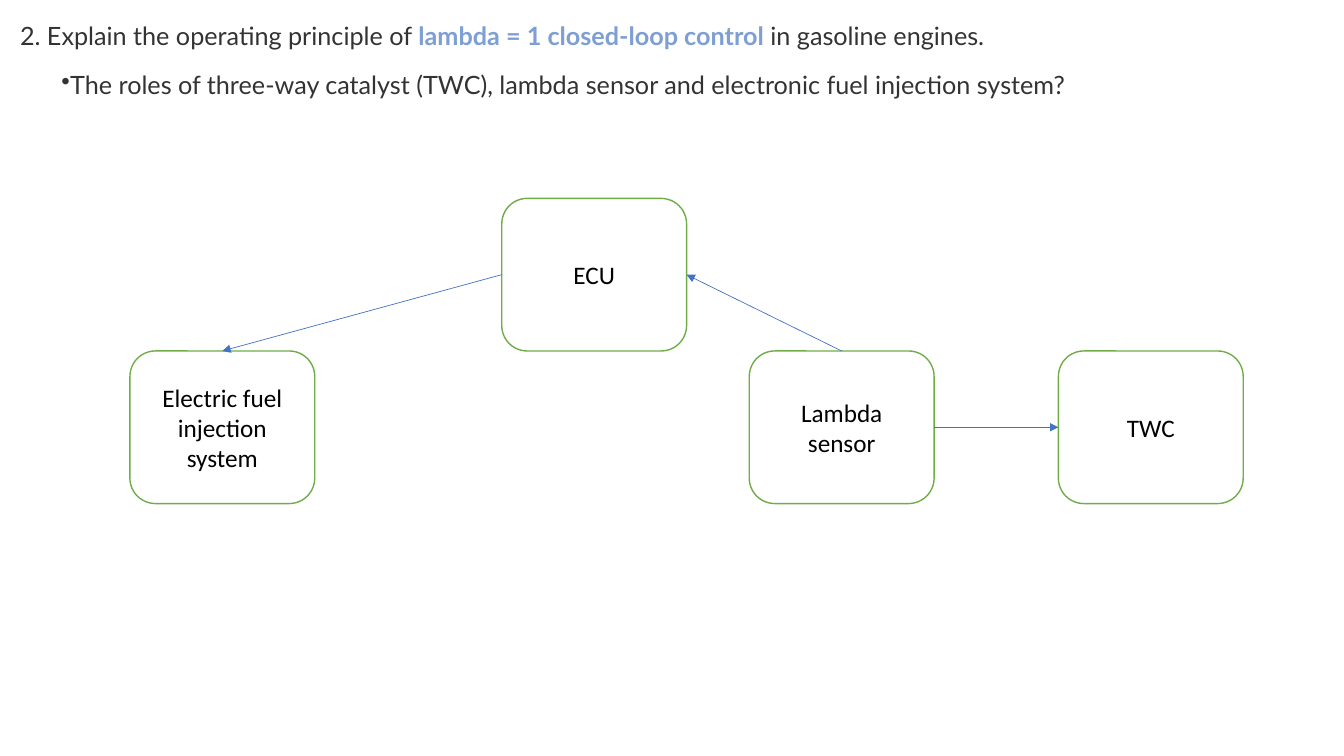
from dataclasses import dataclass

from lxml.etree import SubElement
from pptx import Presentation
from pptx.dml.color import RGBColor
from pptx.enum.shapes import MSO_CONNECTOR, MSO_SHAPE
from pptx.enum.text import MSO_ANCHOR, PP_ALIGN
from pptx.oxml.ns import qn
from pptx.util import Pt

TOP, LEFT, RIGHT = 0, 1, 3  # connection sites of a rounded rectangle


@dataclass(frozen=True)
class Theme:
    question_font: str = "Lato"
    block_font: str = "Calibri"
    text_size: float = 18
    question: str = "333333"
    highlight: str = "7D9FD3"
    block_text: str = "000000"
    block_fill: str = "FFFFFF"
    block_line: str = "70AD47"
    arrow: str = "4472C4"


def rgb(value):
    return RGBColor.from_string(value)


def add_text(paragraph, text, *, font, size, color, bold=False):
    run = paragraph.add_run()
    run.text = text
    run.font.name = font
    run.font.size = Pt(size)
    run.font.bold = bold
    run.font.color.rgb = rgb(color)


class BlockDiagram:
    block_width, block_height = 132, 109

    def __init__(self, slide, theme):
        self.slide = slide
        self.theme = theme

    def question(self, left, top, width, parts, bullet=None):
        """Add one line of text from (text, highlighted) parts."""
        frame = self.slide.shapes.add_textbox(
            Pt(left), Pt(top), Pt(width), Pt(28.8)).text_frame
        frame.word_wrap = True
        paragraph = frame.paragraphs[0]
        if bullet:
            properties = paragraph._p.get_or_add_pPr()
            properties.set("marL", "0")
            properties.set("indent", "0")
            SubElement(properties, qn("a:buChar")).set("char", bullet)
        theme = self.theme
        for text, highlighted in parts:
            add_text(paragraph, text, font=theme.question_font,
                     size=theme.text_size, bold=highlighted,
                     color=theme.highlight if highlighted else theme.question)

    def block(self, left, top, label):
        theme = self.theme
        block = self.slide.shapes.add_shape(
            MSO_SHAPE.ROUNDED_RECTANGLE, Pt(left), Pt(top),
            Pt(self.block_width), Pt(self.block_height))
        block.shadow.inherit = False
        block.fill.solid()
        block.fill.fore_color.rgb = rgb(theme.block_fill)
        block.line.color.rgb = rgb(theme.block_line)
        block.line.width = Pt(1)
        frame = block.text_frame
        frame.word_wrap = True
        frame.vertical_anchor = MSO_ANCHOR.MIDDLE
        paragraph = frame.paragraphs[0]
        paragraph.alignment = PP_ALIGN.CENTER
        add_text(paragraph, label, font=theme.block_font,
                 size=theme.text_size, color=theme.block_text)
        return block

    def arrow(self, source, source_site, target, target_site):
        arrow = self.slide.shapes.add_connector(
            MSO_CONNECTOR.STRAIGHT, Pt(0), Pt(0), Pt(0), Pt(0))
        arrow.begin_connect(source, source_site)
        arrow.end_connect(target, target_site)
        arrow.line.color.rgb = rgb(self.theme.arrow)
        arrow.line.width = Pt(0.5)
        SubElement(arrow.line._get_or_add_ln(), qn("a:tailEnd")).set("type", "triangle")
        SubElement(arrow._element.spPr, qn("a:effectLst"))


def main():
    presentation = Presentation()
    presentation.slide_width, presentation.slide_height = Pt(960), Pt(540)
    slide = presentation.slides.add_slide(presentation.slide_layouts[6])
    diagram = BlockDiagram(slide, Theme())

    diagram.question(7.2, 10.8, 903.6, [
        ("2. Explain the operating principle of ", False),
        ("lambda = 1 closed-loop control", True),
        (" in gasoline engines.", False),
    ])
    diagram.question(36.7, 46.1, 796.3, [
        ("The roles of three-way catalyst (TWC), lambda sensor and "
         "electronic fuel injection system?", False),
    ], bullet="•")

    upper_row = 141.7
    lower_row = upper_row + diagram.block_height
    ecu = diagram.block(358.4, upper_row, "ECU")
    sensor = diagram.block(535.2, lower_row, "Lambda sensor")
    catalyst = diagram.block(756, lower_row, "TWC")
    injection = diagram.block(92.8, lower_row, "Electric fuel injection system")

    diagram.arrow(sensor, TOP, ecu, RIGHT)
    diagram.arrow(ecu, LEFT, injection, TOP)
    diagram.arrow(sensor, RIGHT, catalyst, LEFT)
    presentation.save("out.pptx")


if __name__ == "__main__":
    main()
